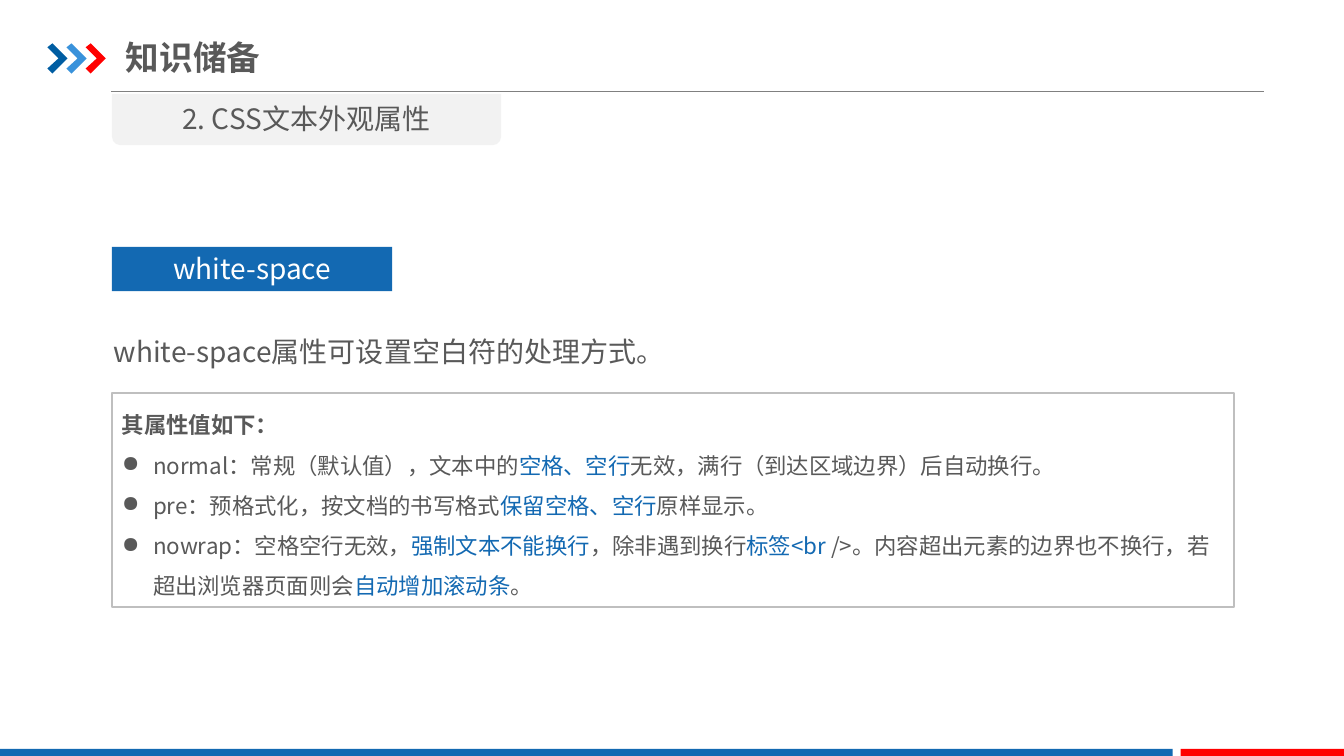
from lxml import etree
from pptx import Presentation
from pptx import util as u
from pptx.dml.color import RGBColor
from pptx.enum import shapes, text
from pptx.oxml import ns

PX = 9144
FONT = "Noto Sans CJK SC"
NAVY = RGBColor(0x00, 0x5D, 0xA2)
SKY = RGBColor(0x39, 0x92, 0xDB)
RED = RGBColor(0xFF, 0x00, 0x00)
BLUE = RGBColor(0x13, 0x69, 0xB2)
INK = RGBColor(0x59, 0x59, 0x59)
RULE = RGBColor(0x80, 0x80, 0x80)
BORDER = RGBColor(0xBF, 0xBF, 0xBF)
PALE = RGBColor(0xF2, 0xF2, 0xF2)
WHITE = RGBColor(0xFF, 0xFF, 0xFF)

CHEVRON = [(0, 4), (5, 0), (20, 15), (5, 30), (0, 25), (11, 15)]
VALUES = [
    "normal：常规（默认值），文本中的|空格、空行|无效，满行（到达区域边界）后自动换行。",
    "pre：预格式化，按文档的书写格式|保留空格、空行|原样显示。",
    "nowrap：空格空行无效，|强制文本不能换行|，除非遇到换行|标签<br |/>。内容超出元素的边界也不换行，"
    "若超出浏览器页面则会|自动增加滚动条|。",
]


def apply(target, values):
    for name, value in values.items():
        setattr(target, name, value)


def emu(*lengths):
    return [length * PX for length in lengths]


def paint(shape, fill=None, line=None, width=1.5):
    shape.shadow.inherit = False
    if fill is None:
        shape.fill.background()
    else:
        shape.fill.solid()
        shape.fill.fore_color.rgb = fill
    if line is None:
        shape.line.fill.background()
    else:
        shape.line.color.rgb = line
        shape.line.width = u.Pt(width)


def add_block(page, area, kind=shapes.MSO_SHAPE.RECTANGLE, **look):
    block = page.shapes.add_shape(kind, *emu(*area))
    paint(block, **look)
    return block


def add_box(page, area):
    return page.shapes.add_textbox(*emu(*area))


def add_chevron(page, left, top, color):
    points = [(left + x, top + y) for x, y in CHEVRON]
    builder = page.shapes.build_freeform(*points[0], scale=PX)
    builder.add_line_segments(points[1:], close=True)
    paint(builder.convert_to_shape(), fill=color)


def add_rule(page, left, right, top):
    rule = page.shapes.add_connector(shapes.MSO_CONNECTOR.STRAIGHT, *emu(left, top, right, top))
    rule.line.color.rgb = RULE
    rule.line.width = u.Pt(0.75)
    etree.SubElement(rule._element.spPr, ns.qn("a:effectLst"))


def set_frame(shape, **values):
    frame = shape.text_frame
    apply(frame, {"word_wrap": True, "vertical_anchor": text.MSO_ANCHOR.TOP, **values})
    return frame


def write(para, words, size, color=INK, bold=False, **layout):
    apply(para, layout)
    for index, part in enumerate(words.split("|")):
        span = para.add_run()
        span.text = part
        apply(span.font, {"name": FONT, "size": u.Pt(size), "bold": bold})
        span.font.color.rgb = BLUE if index % 2 else color
        east = etree.SubElement(span.font._element, ns.qn("a:ea"))
        east.set("typeface", FONT)


def indent(para, depth, bullet=None):
    props = para._p.get_or_add_pPr()
    props.set("marL", str(depth * PX))
    props.set("indent", str(-depth * PX))
    if bullet:
        etree.SubElement(props, ns.qn("a:buChar")).set("char", bullet)


def add_header(page):
    add_rule(page, 110, 1254, 91)
    for index, color in enumerate([NAVY, SKY, RED]):
        add_chevron(page, 47 + 19 * index, 43, color)
    title = set_frame(add_box(page, (125, 29, 426, 55)), margin_left=0, margin_right=0,
                      vertical_anchor=text.MSO_ANCHOR.MIDDLE)
    write(title.paragraphs[0], "知识储备", 24, bold=True)


def add_footer(page):
    add_block(page, (0, 743, 1163, 9), fill=BLUE)
    add_block(page, (1171, 743, 163, 9), fill=RED)


def add_label(shape, words, color):
    frame = set_frame(shape, auto_size=text.MSO_AUTO_SIZE.SHAPE_TO_FIT_TEXT)
    write(frame.paragraphs[0], words, 20, color, alignment=text.PP_ALIGN.CENTER)


def add_values(page):
    panel = add_block(page, (111, 390, 1113, 212), line=BORDER)
    frame = set_frame(panel, auto_size=text.MSO_AUTO_SIZE.SHAPE_TO_FIT_TEXT)
    layout = {"line_spacing": 1.5, "alignment": text.PP_ALIGN.LEFT}
    heading = frame.paragraphs[0]
    write(heading, "其属性值如下：", 16, bold=True, **layout)
    indent(heading, 31)
    for value in VALUES:
        para = frame.add_paragraph()
        write(para, value, 16, **layout)
        indent(para, 31, "●")


def main():
    deck = Presentation()
    apply(deck, {"slide_width": u.Emu(1333 * PX), "slide_height": u.Emu(750 * PX)})
    page = deck.slides.add_slide(deck.slide_layouts[6])
    add_header(page)
    add_footer(page)
    tab = add_block(page, (111, 93, 386, 51), shapes.MSO_SHAPE.ROUND_2_SAME_RECTANGLE, fill=PALE)
    tab.rotation = 180
    add_label(add_box(page, (111, 96, 386, 44)), "2. CSS文本外观属性", INK)
    intro = set_frame(add_box(page, (103, 310, 1122, 55)),
                      auto_size=text.MSO_AUTO_SIZE.SHAPE_TO_FIT_TEXT)
    write(intro.paragraphs[0], "white-space属性可设置空白符的处理方式。", 20, line_spacing=1.5)
    add_values(page)
    add_label(add_block(page, (111, 245, 278, 44), fill=BLUE), "white-space", WHITE)
    deck.save("out.pptx")


if __name__ == "__main__":
    main()
